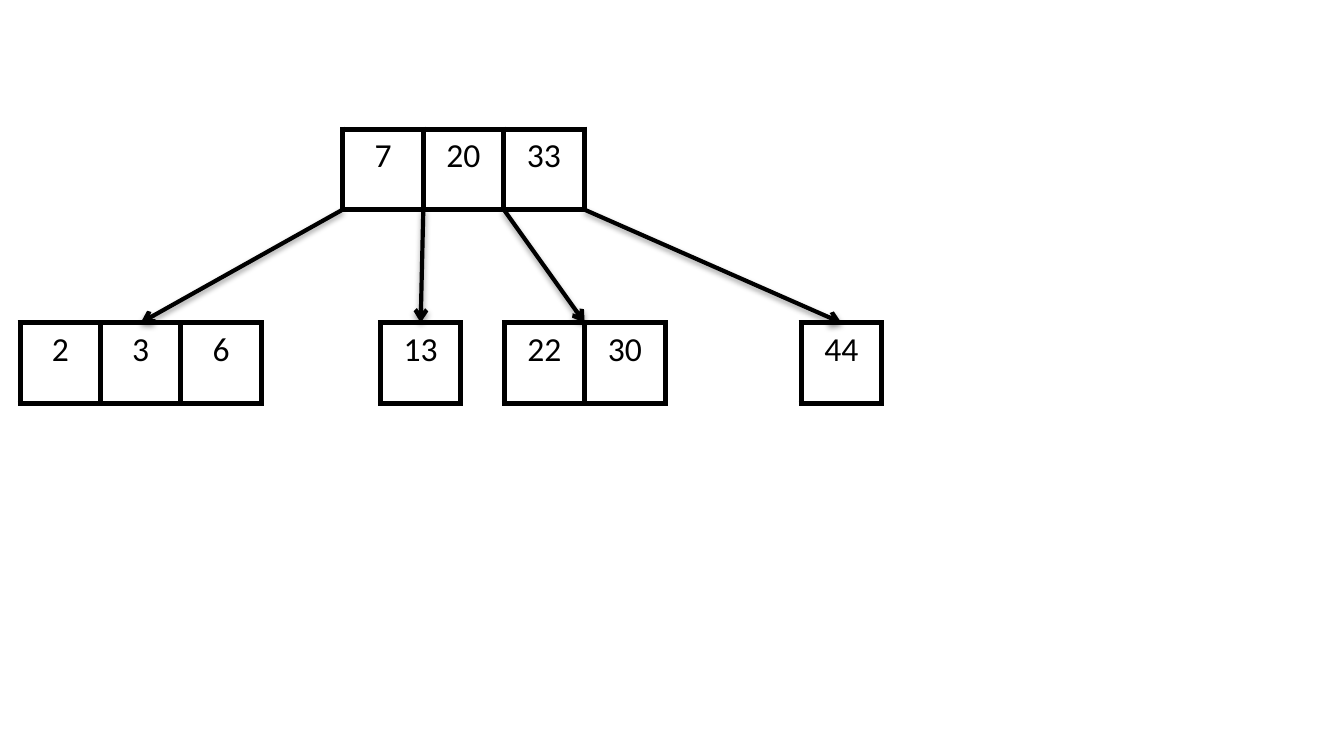
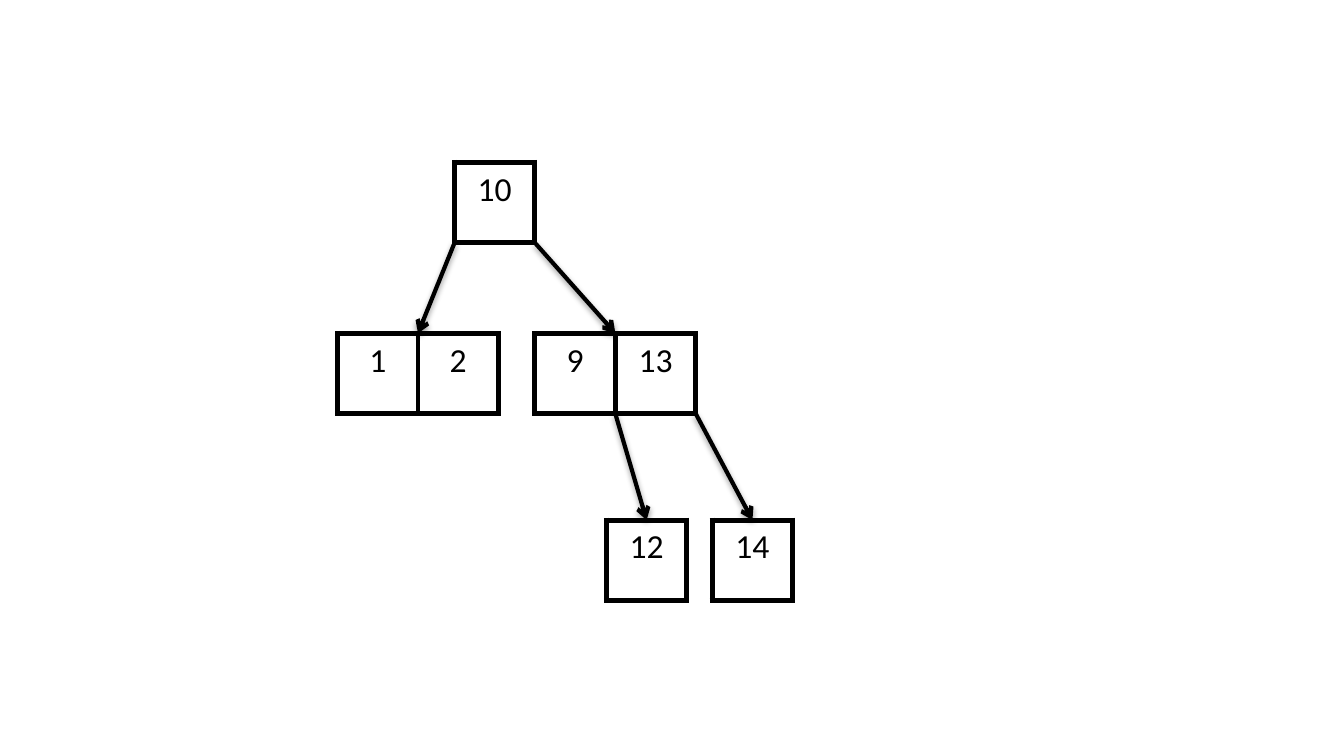
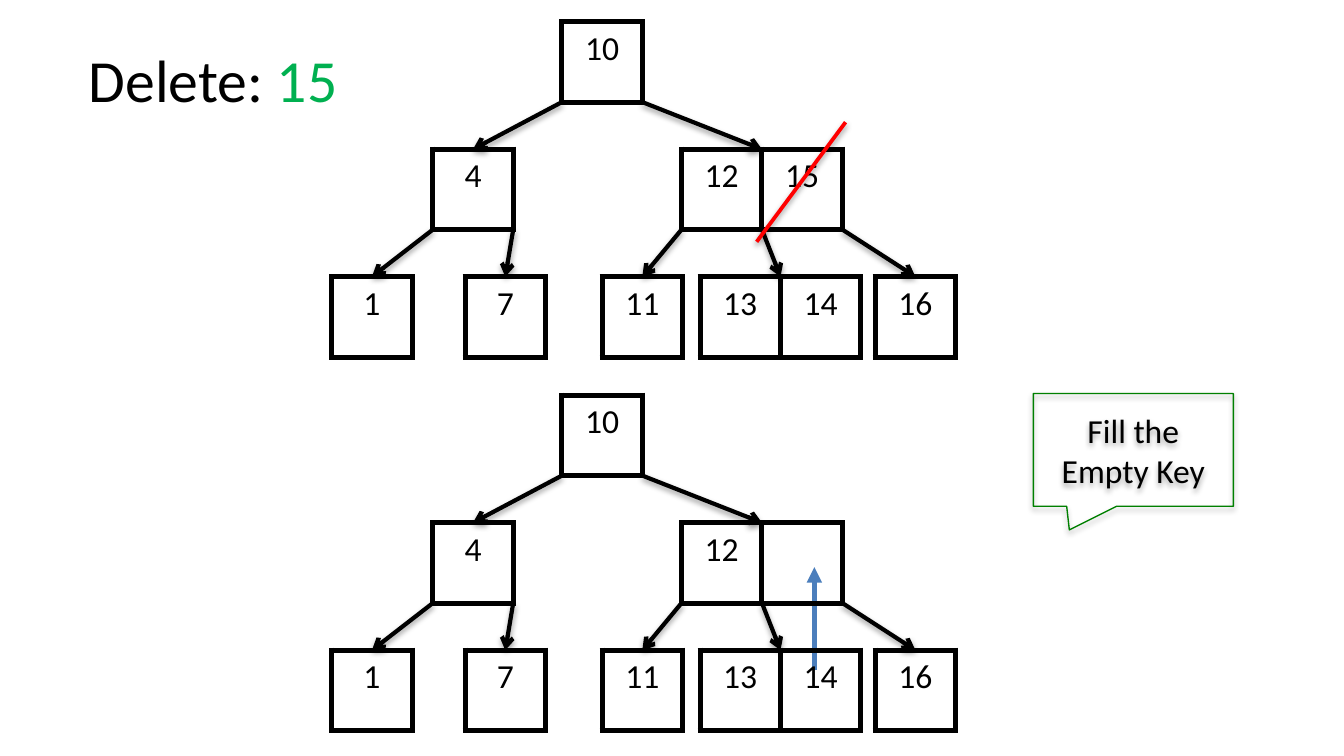
from lxml import etree
from pptx import Presentation
from pptx import util as u
from pptx.dml.color import RGBColor
from pptx.enum import shapes, text
from pptx.oxml import ns

COLORS = {
    "ink": "000000",
    "deleted key": "00B050",
    "callout": "008000",
    "moved key": "4B7EBC",
    "strike": "FF0000",
}
FONT = "Calibri"
CELL = 1.52
BORDER = 3
TITLE_ONLY, BLANK = 5, 6


def write(paragraph, words, size=18, color="ink", align=text.PP_ALIGN.CENTER):
    paragraph.alignment = align
    run = paragraph.add_run()
    run.text = words
    run.font.name = FONT
    run.font.size = u.Pt(size)
    run.font.color.rgb = RGBColor.from_string(COLORS[color])


def draw_line(slide, start, end, color="ink", width=2.25, tip="arrow", shadow=True):
    """Draw a line between two (x, y) points in cm, with an optional tip at the end."""
    line = slide.shapes.add_connector(
        shapes.MSO_CONNECTOR.STRAIGHT, *[u.Cm(length) for length in (*start, *end)])
    line.line.color.rgb = RGBColor.from_string(COLORS[color])
    line.line.width = u.Pt(width)
    properties = line._element.spPr
    if tip:
        outline = properties.find(ns.qn("a:ln"))
        etree.SubElement(outline, ns.qn("a:tailEnd"), type=tip)
    if not shadow:
        etree.SubElement(properties, ns.qn("a:effectLst"))


presentation = Presentation()
presentation.slide_width = u.Cm(25.4)
presentation.slide_height = u.Cm(14.29)
wide_slide, deep_slide, delete_slide = [
    presentation.slides.add_slide(presentation.slide_layouts[layout])
    for layout in (BLANK, BLANK, TITLE_ONLY)]

# Title, callout and the key that moves up
title = delete_slide.shapes.title
title.left, title.top, title.width, title.height = (
    u.Cm(length) for length in (1.42, 0.69, 6.02, 1.63))
title.text_frame.vertical_anchor = text.MSO_ANCHOR.TOP
title.text_frame.auto_size = text.MSO_AUTO_SIZE.SHAPE_TO_FIT_TEXT
for words, color in (("Delete: ", "ink"), ("15", "deleted key")):
    write(title.text_frame.paragraphs[0], words, size=32, color=color,
          align=text.PP_ALIGN.LEFT)

callout = delete_slide.shapes.add_shape(
    shapes.MSO_SHAPE.RECTANGULAR_CALLOUT, u.Cm(19.53), u.Cm(7.44), u.Cm(3.78), u.Cm(2.13))
callout.adjustments[0], callout.adjustments[1] = -0.32, 0.71
callout.fill.background()
callout.line.color.rgb = RGBColor.from_string(COLORS["callout"])
callout.line.width = u.Pt(0.75)
callout.text_frame.vertical_anchor = text.MSO_ANCHOR.MIDDLE
write(callout.text_frame.paragraphs[0], "Fill the Empty Key")

draw_line(delete_slide, (15.39, 12.67), (15.39, 10.72), color="moved key", width=2.75,
          tip="triangle", shadow=False)

# Each node: level, left, keys, index of its parent, slot under the parent's keys
wide_tree = [
    (0, 6.48, ["7", "20", "33"], None, None),
    (1, 0.38, ["2", "3", "6"], 0, 0),
    (1, 7.19, ["13"], 0, 1),
    (1, 9.53, ["22", "30"], 0, 2),
    (1, 15.14, ["44"], 0, 3),
]
deep_tree = [
    (0, 8.59, ["10"], None, None),
    (1, 6.38, ["1", "2"], 0, 0),
    (1, 10.11, ["9", "13"], 0, 1),
    (2, 11.46, ["12"], 2, 1),
    (2, 13.46, ["14"], 2, 2),
]
before_tree, after_tree = [[
    (0, 10.62, ["10"], None, None),
    (1, 8.18, ["4"], 0, 0),
    (1, 12.88, ["12", last_key], 0, 1),
    (2, 6.27, ["1"], 1, 0),
    (2, 8.79, ["7"], 1, 1),
    (2, 11.38, ["11"], 2, 0),
    (2, 13.23, ["13", "14"], 2, 1),
    (2, 16.54, ["16"], 2, 2),
] for last_key in ("15", "")]
before_tops, after_tops = [
    [top + 2.41 * level for level in range(3)] for top in (0.41, 7.47)]

for slide, level_tops, tree in (
    (wide_slide, [2.44, 6.1], wide_tree),
    (deep_slide, [3.07, 6.3, 9.83], deep_tree),
    (delete_slide, before_tops, before_tree),
    (delete_slide, after_tops, after_tree),
):
    for level, left, keys, parent, slot in tree:
        top = level_tops[level]
        table = slide.shapes.add_table(
            1, len(keys), u.Cm(left), u.Cm(top), u.Cm(CELL * len(keys)), u.Cm(CELL)).table
        table.first_row = table.horz_banding = False
        for cell, key in zip(table.iter_cells(), keys):
            for side in ("lnL", "lnR", "lnT", "lnB"):
                border = etree.SubElement(
                    cell._tc.get_or_add_tcPr(), ns.qn(f"a:{side}"), w=str(u.Pt(BORDER)))
                fill = etree.SubElement(border, ns.qn("a:solidFill"))
                etree.SubElement(fill, ns.qn("a:srgbClr"), val=COLORS["ink"])
            cell.fill.background()
            if key:
                write(cell.text_frame.paragraphs[0], key)
    for level, left, keys, parent, slot in tree:
        if parent is not None:
            parent_level, parent_left = tree[parent][:2]
            draw_line(slide,
                      (parent_left + CELL * slot, level_tops[parent_level] + CELL),
                      (left + CELL * len(keys) / 2, level_tops[level]))

draw_line(delete_slide, (14.3, 4.57), (15.98, 2.31), color="strike", width=2, tip=None)

presentation.save("out.pptx")
